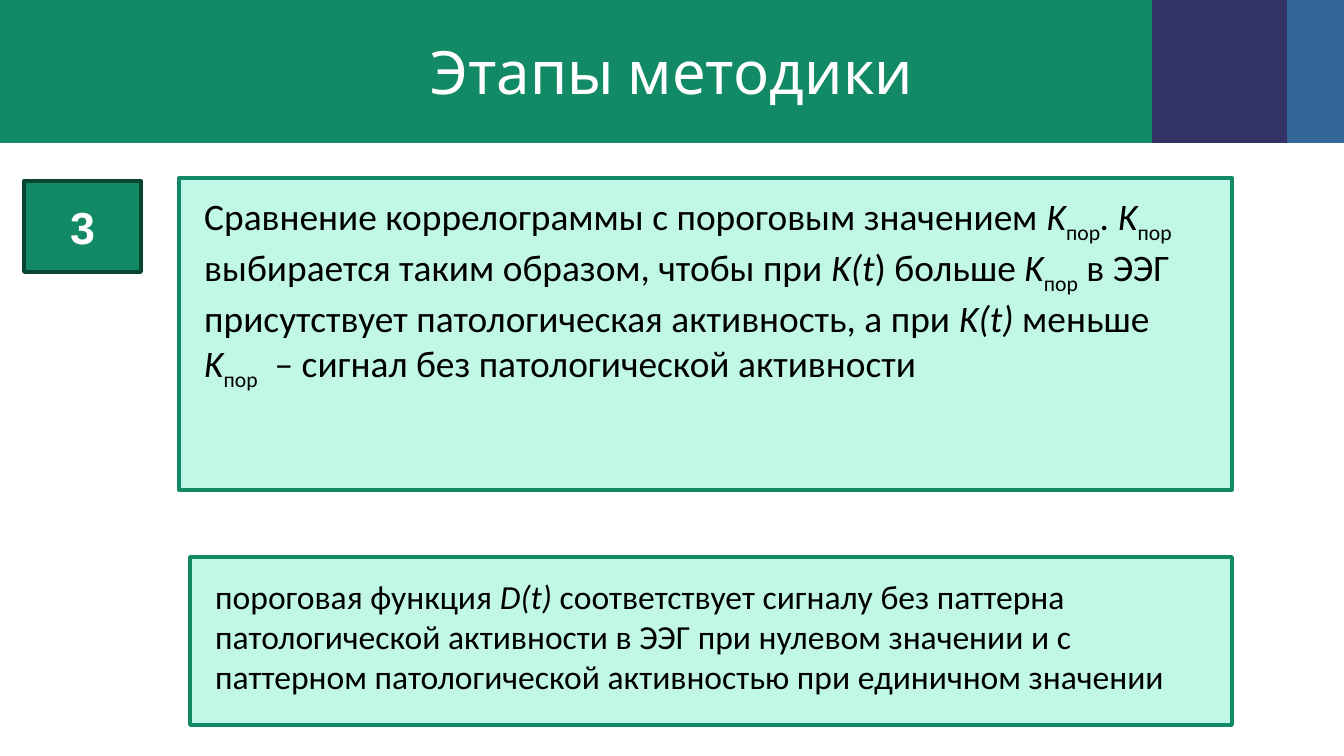
import pptx
import pptx.dml.color
import pptx.enum.shapes
import pptx.enum.text
import pptx.util

EMU_PER_PX = 914400 / 134.4
COLORS = {
    "green": "128A66",
    "dark_green": "094533",
    "mint": "C0F7E6",
    "indigo": "333366",
    "blue": "336699",
    "white": "FFFFFF",
    "black": "000000",
}
ALIGN = pptx.enum.text.PP_ALIGN
ANCHOR = pptx.enum.text.MSO_ANCHOR


def px(value):
    return pptx.util.Emu(round(value * EMU_PER_PX))


def color(name):
    return pptx.dml.color.RGBColor.from_string(COLORS[name])


class SlideBuilder:
    def __init__(self, slide):
        self.slide = slide

    def rectangle(self, left, top, width, height, fill, line=None):
        shape = self.slide.shapes.add_shape(
            pptx.enum.shapes.MSO_SHAPE.RECTANGLE,
            px(left), px(top), px(width), px(height))
        shape.shadow.inherit = False
        shape.fill.solid()
        shape.fill.fore_color.rgb = color(fill)
        if line:
            shape.line.color.rgb = color(line)
            shape.line.width = pptx.util.Pt(2)
        else:
            shape.line.fill.background()
        return shape

    def add_runs(self, shape, runs, size, font, ink="black", bold=False,
                 align=ALIGN.LEFT, anchor=ANCHOR.TOP):
        frame = shape.text_frame
        frame.word_wrap = True
        frame.vertical_anchor = anchor
        paragraph = frame.paragraphs[0]
        paragraph.alignment = align
        for text, style in runs:
            run = paragraph.add_run()
            run.text = text
            run.font.name = font
            run.font.size = pptx.util.Pt(size)
            run.font.bold = bold
            run.font.italic = style == "italic"
            run.font.color.rgb = color(ink)
            if style == "subscript":
                run._r.get_or_add_rPr().set("baseline", "-25000")

    def title(self, text, left, top, width, height):
        shape = self.slide.shapes.title
        shape.left, shape.top = px(left), px(top)
        shape.width, shape.height = px(width), px(height)
        self.add_runs(shape, [(text, "plain")], 32, "Cabin", "white",
                      align=ALIGN.CENTER, anchor=ANCHOR.MIDDLE)
        self.slide.shapes.element.append(shape.element)

    def badge(self, text, left, top, width, height):
        shape = self.rectangle(left, top, width, height, "green", "dark_green")
        self.add_runs(shape, [(text, "plain")], 24, "Arial", "white", True,
                      ALIGN.CENTER, ANCHOR.MIDDLE)

    def text_box(self, runs, left, top, width, height, size):
        shape = self.slide.shapes.add_textbox(
            px(left), px(top), px(width), px(height))
        self.add_runs(shape, runs, size, "Calibri")


def main():
    presentation = pptx.Presentation()
    presentation.slide_width = px(1344)
    presentation.slide_height = px(756)
    builder = SlideBuilder(
        presentation.slides.add_slide(presentation.slide_layouts[5]))

    for left, width, fill in ((1267, 77, "blue"), (1146, 141, "indigo"),
                              (0, 1152, "green")):
        builder.rectangle(left, 0, width, 143, fill)
    builder.title("Этапы методики", 67, 8, 1210, 126)
    builder.badge("3", 24, 181, 117, 91)

    builder.rectangle(190, 557, 1042, 168, "mint", "green")
    builder.rectangle(179, 178, 1053, 312, "mint", "green")

    threshold = [("K", "italic"), ("пор", "subscript")]
    builder.text_box([
        ("Сравнение коррелограммы с пороговым значением ", "plain"),
        *threshold,
        (". ", "italic"),
        *threshold,
        (" выбирается таким образом, чтобы при ", "plain"),
        ("K(t", "italic"),
        (") больше ", "plain"),
        *threshold,
        (" в ЭЭГ присутствует патологическая активность, а при ", "plain"),
        ("K(t)", "italic"),
        (" меньше ", "plain"),
        *threshold,
        ("  – сигнал без патологической активности", "plain"),
    ], 191, 187, 1031, 195, 20)
    builder.text_box([
        ("пороговая функция ", "plain"),
        ("D(t)", "italic"),
        (" соответствует сигналу без паттерна патологической активности "
         "в ЭЭГ при нулевом значении и с паттерном патологической "
         "активностью при единичном значении", "plain"),
    ], 202, 569, 1008, 136, 18)

    presentation.save("out.pptx")


if __name__ == "__main__":
    main()
